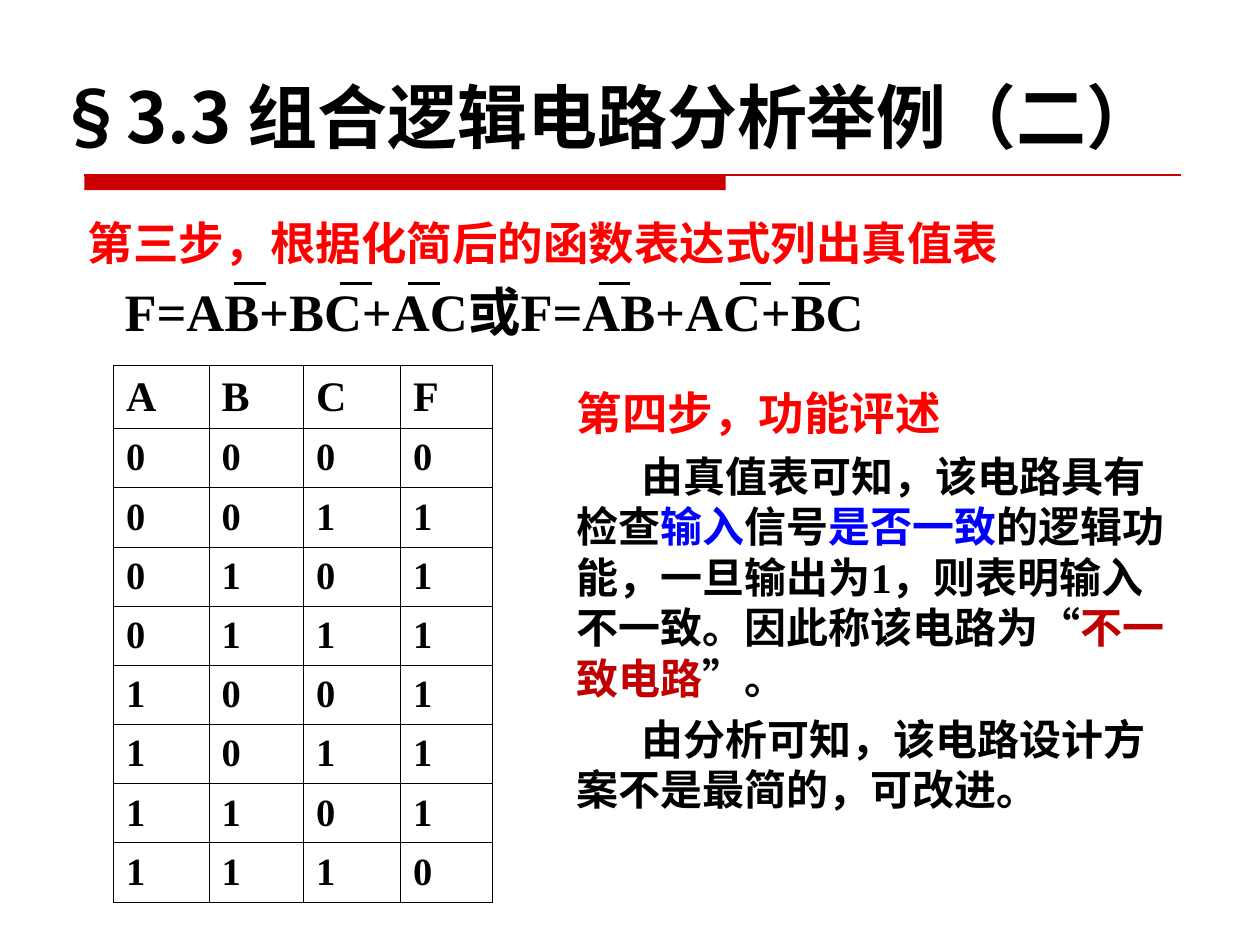
from dataclasses import dataclass
from itertools import product

from lxml.etree import SubElement
from pptx import Presentation
from pptx.dml.color import RGBColor
from pptx.enum.shapes import MSO_CONNECTOR, MSO_SHAPE
from pptx.enum.text import MSO_ANCHOR as Anchor
from pptx.oxml.ns import qn
from pptx.util import Emu, Inches, Pt

COLS, ROWS = 100, 75
WIDTH, HEIGHT = Inches(10), Inches(7.5)
CJK, LATIN, SANS = "Noto Sans CJK SC", "Times New Roman", "DejaVu Sans"
BLACK, RED, BLUE, DARK_RED, RULE = "000000", "FF0000", "0000FF", "C00000", "CC0000"


@dataclass(frozen=True)
class Box:
    """A place on the grid, in columns and rows."""
    left: float
    top: float
    width: float
    height: float

    def emu(self) -> tuple[Emu, Emu, Emu, Emu]:
        return col(self.left), row(self.top), col(self.width), row(self.height)


@dataclass(frozen=True)
class Run:
    text: str
    color: str = BLACK


@dataclass(frozen=True)
class Para:
    runs: tuple[Run, ...]
    size: float
    font: str = LATIN
    line: float | None = None
    before: float = 0
    indent: float = 0


def col(n: float) -> Emu:
    return Emu(round(WIDTH * n / COLS))


def row(n: float) -> Emu:
    return Emu(round(HEIGHT * n / ROWS))


def rgb(color: str) -> RGBColor:
    return RGBColor.from_string(color)


def write_para(p, para: Para) -> None:
    p.space_before = Pt(para.before)
    if para.line:
        p.line_spacing = Pt(para.line)
    if para.indent:
        p._p.get_or_add_pPr().set("indent", str(col(para.indent)))
    for run in para.runs:
        r = p.add_run()
        r.text = run.text
        r.font.name, r.font.size, r.font.bold = para.font, Pt(para.size), True
        r.font.color.rgb = rgb(run.color)
        SubElement(r._r.get_or_add_rPr(), qn("a:ea"), typeface=CJK)


def add_text(s, box: Box, paras: list[Para], anchor=Anchor.TOP, wrap: bool = True) -> None:
    tf = s.shapes.add_textbox(*box.emu()).text_frame
    tf.word_wrap, tf.vertical_anchor = wrap, anchor
    for i, para in enumerate(paras):
        write_para(tf.add_paragraph() if i else tf.paragraphs[0], para)


def add_hline(s, left: float, top: float, width: float, color: str, weight: float) -> None:
    ln = s.shapes.add_connector(MSO_CONNECTOR.STRAIGHT, col(left), row(top),
                                col(left + width), row(top))
    ln.line.color.rgb, ln.line.width = rgb(color), Pt(weight)
    SubElement(ln._element.spPr, qn("a:effectLst"))


def add_title_rule(s) -> None:
    bar = s.shapes.add_shape(MSO_SHAPE.RECTANGLE, *Box(6.7, 13.9, 50.9, 1.2).emu())
    bar.shadow.inherit = False
    bar.fill.solid()
    bar.fill.fore_color.rgb = rgb(RULE)
    bar.line.fill.background()
    add_hline(s, 6.7, 13.9, 87, RULE, 0.75)


def set_borders(cell, weights: dict[str, float]) -> None:
    """Put the cell's border lines in front of its fill, as the schema asks."""
    tc_pr = cell._tc.get_or_add_tcPr()
    for i, (side, weight) in enumerate(weights.items()):
        ln = SubElement(tc_pr, qn(f"a:ln{side}"), w=str(Pt(weight)))
        SubElement(SubElement(ln, qn("a:solidFill")), qn("a:srgbClr"), val=BLACK)
        tc_pr.insert(i, ln)


def add_truth_table(s) -> None:
    widths, heights = (7.6, 7.5, 7.7, 7.3), (5,) + (4.7,) * 8
    rows = [tuple("ABCF")]
    rows += [(*bits, int(len(set(bits)) > 1)) for bits in product((0, 1), repeat=3)]
    box = Box(9, 29, sum(widths), sum(heights))
    table = s.shapes.add_table(len(rows), len(widths), *box.emu()).table
    table.first_row = table.horz_banding = False
    for column, width in zip(table.columns, widths):
        column.width = col(width)
    for i, (values, height) in enumerate(zip(rows, heights)):
        table.rows[i].height = row(height)
        for j, value in enumerate(values):
            cell = table.cell(i, j)
            cell.vertical_anchor = Anchor.MIDDLE
            cell.fill.background()
            write_para(cell.text_frame.paragraphs[0],
                       Para((Run(str(value)),), 22 if i else 24))
            outer = {"L": j == 0, "R": j == len(widths) - 1,
                     "T": i == 0, "B": i == len(rows) - 1}
            set_borders(cell, {side: 0.45 if edge else 0.34 for side, edge in outer.items()})


def add_formula(s) -> None:
    for left in (18.6, 27, 32.4, 47.5, 58.7, 63.4):
        add_hline(s, left, 22.5, 2.5, BLACK, 1.5)
    add_text(s, Box(8.9, 21.3, 62.7, 6),
             [Para((Run("F=AB+BC+AC或F=AB+AC+BC"),), 30, line=38.4)], wrap=False)


def add_review(s) -> None:
    body = dict(size=24, line=28.8, before=6, indent=5.1)
    finding = (
        Run("由真值表可知，该电路具有检查"), Run("输入", BLUE), Run("信号"),
        Run("是否一致", BLUE),
        Run("的逻辑功能，一旦输出为1，则表明输入不一致。因此称该电路为“"),
        Run("不一致电路", DARK_RED), Run("”。"),
    )
    add_text(s, Box(44.8, 28.8, 49.2, 35.9), [
        Para((Run("第四步，功能评述", RED),), 26, line=40.5),
        Para(finding, **body),
        Para((Run("由分析可知，该电路设计方案不是最简的，可改进。"),), **body),
    ])


def main() -> None:
    prs = Presentation()
    prs.slide_width, prs.slide_height = WIDTH, HEIGHT
    s = prs.slides.add_slide(prs.slide_layouts[6])
    add_title_rule(s)
    add_text(s, Box(3.5, 2.8, 94.5, 10.2),
             [Para((Run("§3.3 组合逻辑电路分析举例（二）"),), 40, CJK)], Anchor.BOTTOM)
    add_text(s, Box(3.5, 16.2, 87.7, 7.1),
             [Para((Run("第三步，根据化简后的函数表达式列出真值表", RED),), 26, SANS,
                   line=34, indent=2.5)])
    add_review(s)
    add_truth_table(s)
    add_formula(s)
    prs.save("out.pptx")


if __name__ == "__main__":
    main()
